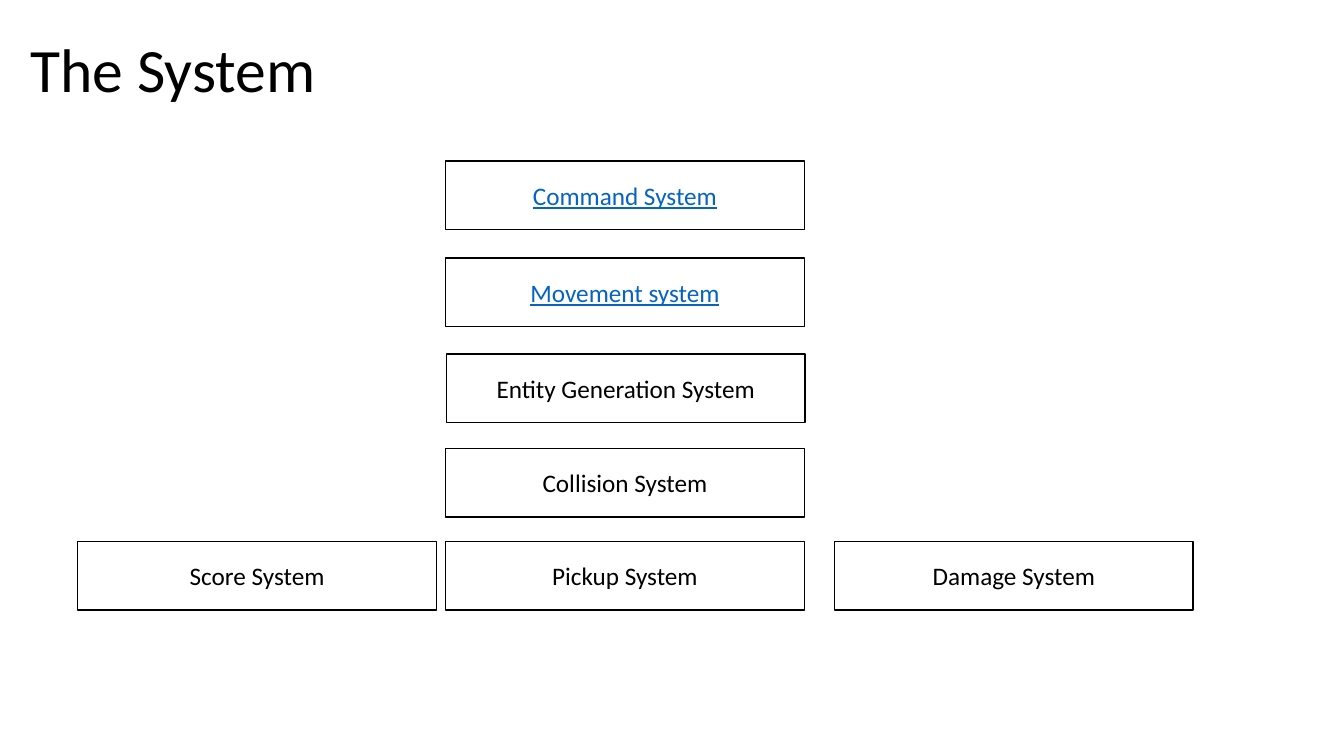
from pptx import Presentation
from pptx.dml.color import RGBColor
from pptx.enum.shapes import MSO_SHAPE
from pptx.enum.text import MSO_ANCHOR, PP_ALIGN
from pptx.util import Cm, Pt

COLOURS = {"paper": "FFFFFF", "ink": "000000", "link": "0563C1"}
FONT = "Calibri"
BOX_WIDTH, BOX_HEIGHT = 9.04, 1.73
LEFT_COLUMN, MIDDLE_COLUMN, RIGHT_COLUMN = 1.96, 11.23, 21.03
BOTTOM_ROW = 13.64

SYSTEMS = [
    ("Command System", MIDDLE_COLUMN, 4.06, True),
    ("Movement system", MIDDLE_COLUMN, 6.5, True),
    ("Entity Generation System", MIDDLE_COLUMN + 0.02, 8.92, False),
    ("Collision System", MIDDLE_COLUMN, 11.3, False),
    ("Pickup System", MIDDLE_COLUMN, BOTTOM_ROW, False),
    ("Damage System", RIGHT_COLUMN, BOTTOM_ROW, False),
    ("Score System", LEFT_COLUMN, BOTTOM_ROW, False),
]


def colour(name):
    return RGBColor.from_string(COLOURS[name])


class SystemSlide:
    def __init__(self, presentation):
        self.slide = presentation.slides.add_slide(presentation.slide_layouts[5])

    def add_label(self, shape, text, size, alignment, ink="ink", underline=False):
        shape.text_frame.word_wrap = True
        shape.text_frame.vertical_anchor = MSO_ANCHOR.MIDDLE
        paragraph = shape.text_frame.paragraphs[0]
        paragraph.alignment = alignment
        run = paragraph.add_run()
        run.text = text
        run.font.name = FONT
        run.font.size = Pt(size)
        run.font.color.rgb = colour(ink)
        if underline:
            run.font.underline = True
        return paragraph

    def title(self, text):
        shape = self.slide.shapes.title
        shape.left, shape.top = Cm(0.51), Cm(0)
        shape.width, shape.height = Cm(29.21), Cm(3.68)
        paragraph = self.add_label(shape, text, 44, PP_ALIGN.LEFT)
        paragraph.line_spacing = 0.9

    def box(self, text, left, top, linked):
        shape = self.slide.shapes.add_shape(
            MSO_SHAPE.RECTANGLE, Cm(left), Cm(top), Cm(BOX_WIDTH), Cm(BOX_HEIGHT)
        )
        shape.shadow.inherit = False
        shape.fill.solid()
        shape.fill.fore_color.rgb = colour("paper")
        shape.line.color.rgb = colour("ink")
        shape.line.width = Pt(1)
        self.add_label(shape, text, 18, PP_ALIGN.CENTER, "link" if linked else "ink", linked)


def main():
    presentation = Presentation()
    presentation.slide_width, presentation.slide_height = Cm(33.87), Cm(19.05)
    system_slide = SystemSlide(presentation)
    system_slide.title("The System")
    for system in SYSTEMS:
        system_slide.box(*system)
    presentation.save("out.pptx")


if __name__ == "__main__":
    main()
